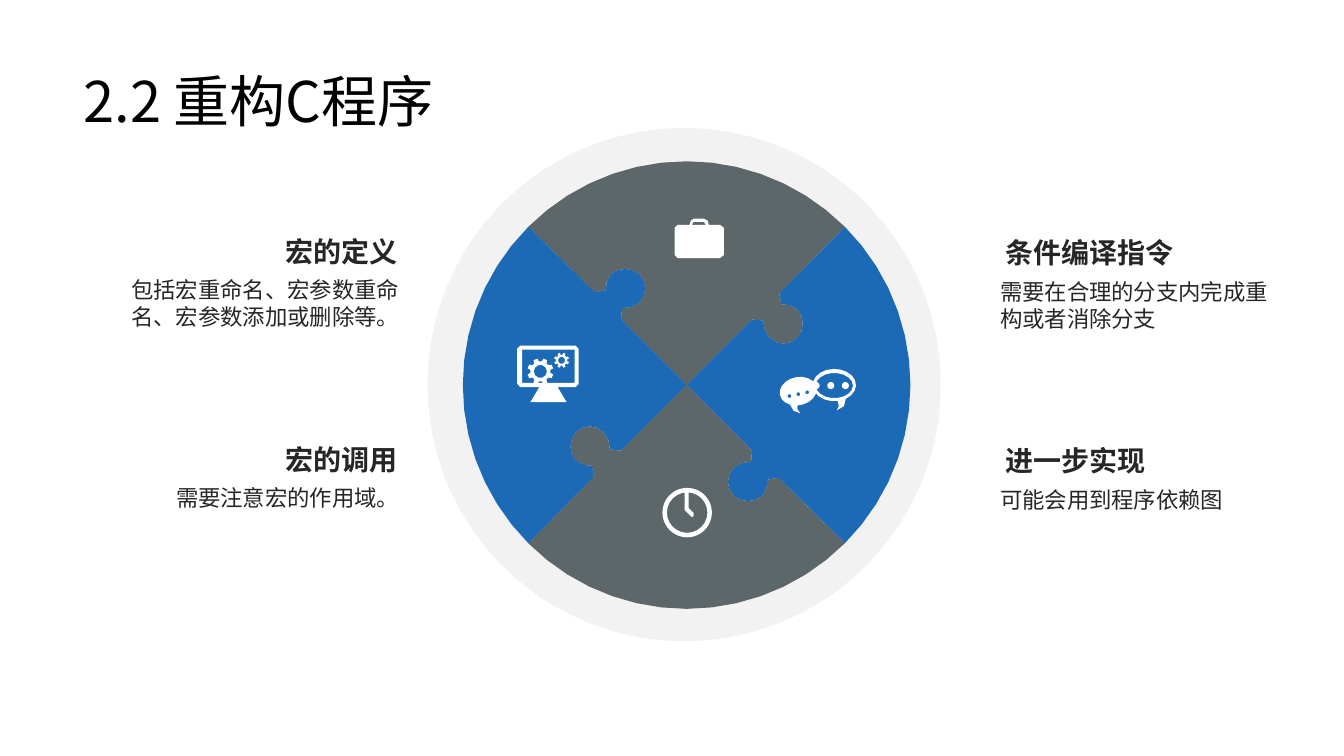
from math import cos, radians, sin

from lxml import etree
from pptx import Presentation
from pptx.dml.color import RGBColor
from pptx.enum import shapes, text
from pptx.oxml import ns
from pptx.util import Inches, Pt

FONT = "Noto Sans CJK SC"
BLACK = RGBColor(0x00, 0x00, 0x00)
INK = RGBColor(0x26, 0x26, 0x26)
WHITE = RGBColor(0xFF, 0xFF, 0xFF)
PALE = RGBColor(0xF2, 0xF2, 0xF2)
SLATE = RGBColor(0x5D, 0x67, 0x6A)
BLUE = RGBColor(0x1C, 0x6A, 0xB5)
LEFT, RIGHT = text.PP_ALIGN.LEFT, text.PP_ALIGN.RIGHT
OVAL, DONUT = shapes.MSO_SHAPE.OVAL, shapes.MSO_SHAPE.DONUT

# Content
TITLE = "2.2 重构C程序"
# alignment, heading left, body left, first heading top, (heading, body, body height)
COLUMNS = [
    (RIGHT, 2.11, 1.14, 2.28, [
        ("宏的定义", "包括宏重命名、宏参数重命名、宏参数添加或删除等。", 0.64),
        ("宏的调用", "需要注意宏的作用域。", 0.37)]),
    (LEFT, 9.87, 9.82, 2.29, [
        ("条件编译指令", "需要在合理的分支内完成重构或者消除分支", 0.64),
        ("进一步实现", "可能会用到程序依赖图", 0.37)]),
]
ROW_STEP = 2.06

# Wheel: one jigsaw edge, from the centre to the upper left rim
CENTRE_X, CENTRE_Y, RADIUS = 6.81, 3.82, 2.22
PIECE_COLORS = [SLATE, BLUE, SLATE, BLUE]  # top, right, bottom, left
EDGE_START = (-0.65, -0.65)
# steps, then the two control points and the end point
EDGE_CURVES = [
    (1, (-0.66, -0.69), (-0.65, -0.73), (-0.64, -0.76)),
    (2, (-0.58, -0.76), (-0.51, -0.78), (-0.47, -0.82)),
    (4, (-0.39, -0.90), (-0.39, -1.02), (-0.47, -1.10)),
    (4, (-0.55, -1.17), (-0.67, -1.17), (-0.75, -1.10)),
    (2, (-0.79, -1.05), (-0.81, -0.99), (-0.80, -0.94)),
    (1, (-0.83, -0.92), (-0.88, -0.91), (-0.91, -0.92)),
]

deck = Presentation()
deck.slide_width, deck.slide_height = Inches(13.33), Inches(7.5)
page = deck.slides.add_slide(deck.slide_layouts[5])


def paint(shape, color):
    shape.shadow.inherit = False
    shape.fill.solid()
    shape.fill.fore_color.rgb = color
    shape.line.fill.background()
    return shape


def preset(kind, left, top, size, color):
    box = (Inches(length) for length in (left, top, size, size))
    return paint(page.shapes.add_shape(kind, *box), color)


def outline(color, *contours):
    """Fill closed contours; an inner contour becomes a hole."""
    scaled = [[(Inches(x), Inches(y)) for x, y in points] for points in contours]
    builder = page.shapes.build_freeform(*scaled[0][0], scale=1.0)
    for number, points in enumerate(scaled):
        if number:
            builder.move_to(*points[0])
        builder.add_line_segments(points[1:], close=True)
    return paint(builder.convert_to_shape(), color)


def arc(x, y, wide, high, start, end, steps):
    angles = [radians(start + (end - start) * i / steps) for i in range(steps + 1)]
    return [(x + wide * cos(a), y + high * sin(a)) for a in angles]


def loop(x, y, wide, high, steps):
    return arc(x, y, wide, high, 0, 360, steps)[:-1]


def curve(steps, p0, p1, p2, p3):
    for i in range(1, steps + 1):
        t = i / steps
        weights = ((1 - t) ** 3, 3 * t * (1 - t) ** 2, 3 * t * t * (1 - t), t ** 3)
        yield tuple(sum(w * p[axis] for w, p in zip(weights, (p0, p1, p2, p3)))
                    for axis in (0, 1))


def gear(x, y, radius, valley, hole):
    teeth = []
    for tooth in range(8):
        middle = 22.5 + 45 * tooth
        for reach, turn in ((valley, -14), (radius, -9), (radius, 9), (valley, 14)):
            angle = radians(middle + turn)
            teeth.append((x + reach * cos(angle), y + reach * sin(angle)))
    outline(WHITE, teeth, loop(x, y, hole, hole, 10))


def write(box, words, size, color, align, bold=False):
    frame = box.text_frame
    frame.word_wrap = True
    frame.auto_size = text.MSO_AUTO_SIZE.SHAPE_TO_FIT_TEXT
    frame.vertical_anchor = text.MSO_ANCHOR.TOP
    para = frame.paragraphs[0]
    para.text, para.alignment = words, align
    font = para.font
    font.name, font.size, font.bold = FONT, Pt(size), bold
    font.color.rgb = color
    # East Asian typeface
    defaults = para._p.pPr.find(ns.qn("a:defRPr"))
    etree.SubElement(defaults, ns.qn("a:ea"), typeface=FONT)


def label(left, top, width, height, *style):
    box = page.shapes.add_textbox(*(Inches(v) for v in (left, top, width, height)))
    write(box, *style)


# Title
title = page.shapes.title
title.left, title.top = Inches(0.73), Inches(0.61)
title.width, title.height = Inches(5.02), Inches(0.77)
write(title, TITLE, 40, BLACK, LEFT)

# Wheel of four pieces, each bounded by two quarter-turned edges and an arc
preset(OVAL, 4.24, 1.27, 5.09, PALE)
edge = [(0, 0), EDGE_START]
for steps, *points in EDGE_CURVES:
    edge.extend(curve(steps, edge[-1], *points))
edges = []
for quarter in range(4):
    edges.append([(CENTRE_X + x, CENTRE_Y + y) for x, y in edge])
    edge = [(-y, x) for x, y in edge]
for quarter, color in enumerate(PIECE_COLORS):
    start = 225 + 90 * quarter
    rim = arc(CENTRE_X, CENTRE_Y, RADIUS, RADIUS, start, start + 90, 14)
    outline(color, edges[quarter] + rim + edges[(quarter + 1) % 4][:0:-1])

# Speech bubbles
outline(WHITE,
        arc(8.275, 3.82, 0.215, 0.16, 81, 418, 18) + [(8.37, 4.03), (8.3, 4.07), (8.32, 4.03)],
        loop(8.275, 3.825, 0.185, 0.125, 18))
for dot in range(3):
    preset(OVAL, 8.06 + 0.145 * dot, 3.79, 0.07, WHITE)
bubble = outline(WHITE,
                 arc(7.925, 3.88, 0.185, 0.14, 125, 461, 18) + [(7.88, 4.05), (7.9, 4.1), (7.84, 4.06)],
                 *(loop(7.83 + 0.09 * dot, 3.91, 0.02, 0.02, 6) for dot in range(3)))
bubble.rotation = 348.1

# Clock
dial = preset(DONUT, 6.57, 4.84, 0.49, WHITE)
dial.adjustments[0] = 0.09
outline(WHITE, [(6.79, 4.88), (6.81, 4.86), (6.83, 4.88), (6.83, 5.04), (6.88, 5.09),
                (6.88, 5.12), (6.86, 5.13), (6.79, 5.06)])

# Briefcase
outline(WHITE,
        [(6.72, 2.23), (6.84, 2.23), (6.85, 2.19), (6.88, 2.17), (6.98, 2.17),
         (7.02, 2.19), (7.03, 2.23), (7.14, 2.23), (7.18, 2.26), (7.18, 2.53),
         (7.14, 2.56), (6.72, 2.56), (6.69, 2.53), (6.69, 2.26)],
        [(6.86, 2.23), (6.88, 2.2), (6.98, 2.2), (7, 2.23)])

# Monitor with gears
outline(WHITE,
        [(5.16, 3.43), (5.71, 3.43), (5.74, 3.46), (5.74, 3.81), (5.71, 3.84),
         (5.53, 3.84), (5.62, 3.99), (5.26, 3.99), (5.35, 3.84), (5.16, 3.84),
         (5.13, 3.81), (5.13, 3.46)],
        [(5.18, 3.47), (5.7, 3.47), (5.7, 3.8), (5.18, 3.8)])
gear(5.57, 3.575, 0.075, 0.055, 0.035)
gear(5.36, 3.685, 0.13, 0.1, 0.065)

# Labels
for align, heading_left, body_left, first_top, rows in COLUMNS:
    for row, (heading, body, height) in enumerate(rows):
        top = first_top + ROW_STEP * row
        label(heading_left, top, 1.93, 0.44, heading, 20, INK, align, True)
        body_top = top + (0.42 if align == LEFT else 0.41)
        label(body_left, body_top, 2.92, height, body, 16, INK, align)

deck.save("out.pptx")
